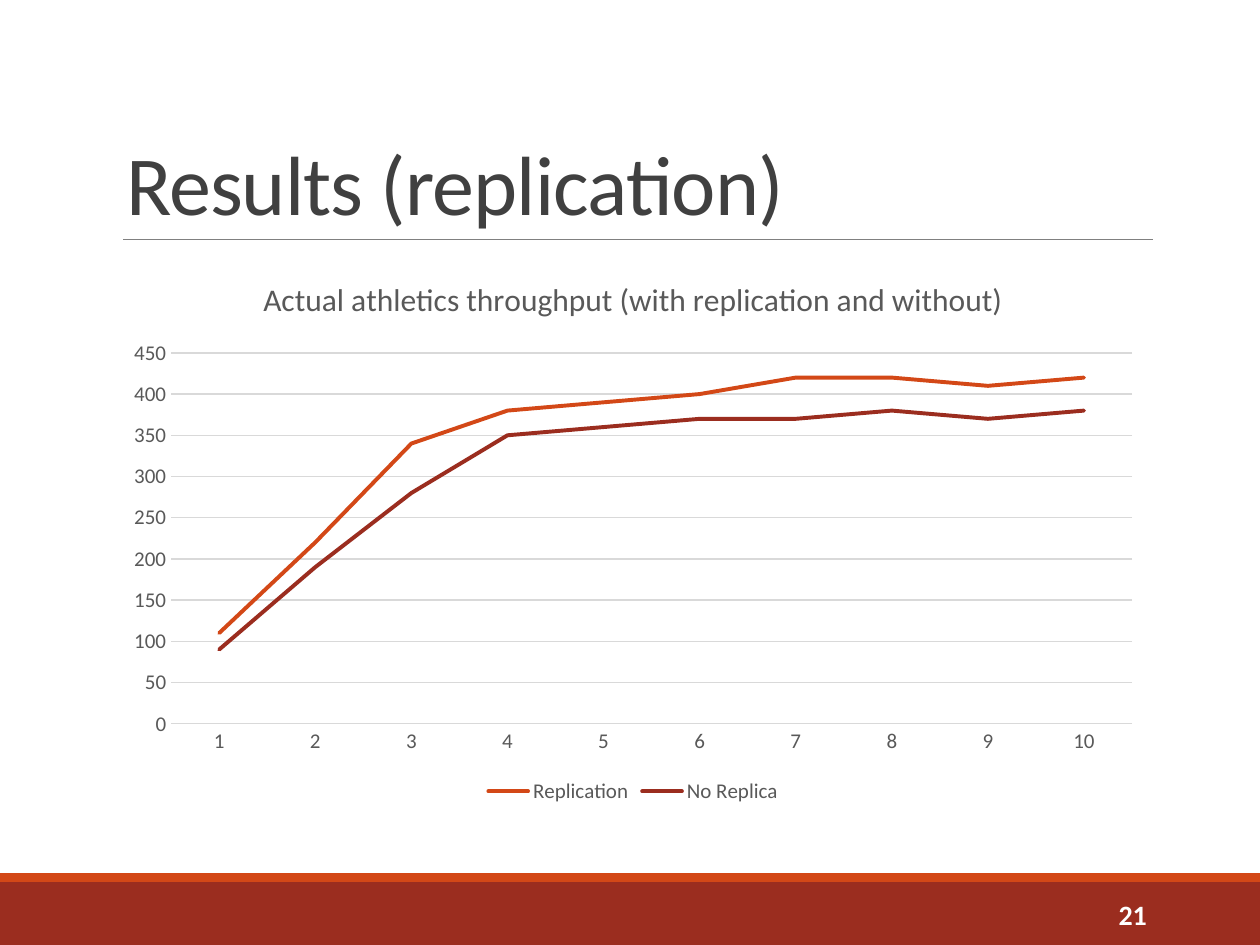
from dataclasses import dataclass

from lxml.etree import SubElement
from pptx import Presentation
from pptx.chart.data import CategoryChartData
from pptx.dml.color import RGBColor
from pptx.enum.chart import XL_CHART_TYPE, XL_LEGEND_POSITION, XL_TICK_MARK
from pptx.enum.shapes import MSO_CONNECTOR, MSO_SHAPE
from pptx.enum.text import MSO_ANCHOR, PP_ALIGN
from pptx.oxml.ns import qn
from pptx.util import Inches, Pt

# Content
TITLE = "Results (replication)"
PAGE_NUMBER = "21"
CHART_TITLE = "Actual athletics throughput (with replication and without)"
CATEGORIES = [str(n) for n in range(1, 11)]
THROUGHPUT = {
    "Replication": (110, 220, 340, 380, 390, 400, 420, 420, 410, 420),
    "No Replica": (90, 190, 280, 350, 360, 370, 370, 380, 370, 380),
}


@dataclass(frozen=True)
class Theme:
    font: str = "Calibri"
    heading: str = "404040"
    chart_text: str = "595959"
    grid: str = "D9D9D9"
    rule: str = "808080"
    orange: str = "D34817"
    red: str = "9B2D1F"
    white: str = "FFFFFF"
    title_size: float = 48
    chart_title_size: float = 18
    label_size: float = 12
    page_size: float = 16


THEME = Theme()

# Layout, in inches
SLIDE_W, SLIDE_H = 10, 7.5
LEFT, CONTENT_W = 0.9, 8.25
FOOTER_H, STRIPE_H = 0.5, 0.07
FOOTER_TOP = SLIDE_H - FOOTER_H
RULE_LEFT, RULE_RIGHT, RULE_Y = 0.98, 9.15, 1.9


def box(*lengths):
    return [Inches(length) for length in lengths]


def style_font(font, size, color, bold=False):
    font.name = THEME.font
    font.size = Pt(size)
    font.bold = bold
    font.color.rgb = RGBColor.from_string(color)


def style_line(line, color, width):
    line.color.rgb = RGBColor.from_string(color)
    line.width = Pt(width)


def add_band(slide, top, height, color):
    band = slide.shapes.add_shape(MSO_SHAPE.RECTANGLE, *box(0, top, SLIDE_W, height))
    band.shadow.inherit = False
    band.fill.solid()
    band.fill.fore_color.rgb = RGBColor.from_string(color)
    band.line.fill.background()


def add_title(slide):
    heading = slide.shapes.title
    heading.left, heading.top, heading.width, heading.height = box(
        LEFT, 0.31, CONTENT_W, RULE_Y - 0.31)
    heading.text_frame.text = TITLE
    heading.text_frame.vertical_anchor = MSO_ANCHOR.BOTTOM
    paragraph = heading.text_frame.paragraphs[0]
    paragraph.alignment = PP_ALIGN.LEFT
    paragraph.line_spacing = 0.85
    run = paragraph.runs[0]
    style_font(run.font, THEME.title_size, THEME.heading)
    run.font._element.set("spc", "-50")


def add_rule(slide):
    rule = slide.shapes.add_connector(
        MSO_CONNECTOR.STRAIGHT, *box(RULE_LEFT, RULE_Y, RULE_RIGHT, RULE_Y))
    style_line(rule.line, THEME.rule, 0.5)
    SubElement(rule._element.spPr, qn("a:effectLst"))


def add_throughput_chart(slide):
    throughput = CategoryChartData()
    throughput.categories = CATEGORIES
    for name, values in THROUGHPUT.items():
        throughput.add_series(name, values)
    chart = slide.shapes.add_chart(
        XL_CHART_TYPE.LINE, *box(LEFT, 2.02, CONTENT_W, 4.4), throughput).chart
    style_font(chart.font, THEME.label_size, THEME.chart_text)

    # Chart title and legend
    chart.has_title = True
    chart.chart_title.text_frame.text = CHART_TITLE
    chart_title_run = chart.chart_title.text_frame.paragraphs[0].runs[0]
    style_font(chart_title_run.font, THEME.chart_title_size, THEME.chart_text)
    chart.chart_title.include_in_layout = False
    chart.has_legend = True
    chart.legend.position = XL_LEGEND_POSITION.BOTTOM
    chart.legend.include_in_layout = False
    style_font(chart.legend.font, THEME.label_size, THEME.chart_text)

    # Axes
    for axis in (chart.category_axis, chart.value_axis):
        axis.major_tick_mark = axis.minor_tick_mark = XL_TICK_MARK.NONE
        style_font(axis.tick_labels.font, THEME.label_size, THEME.chart_text)
    style_line(chart.category_axis.format.line, THEME.grid, 0.75)
    chart.value_axis.format.line.fill.background()
    chart.value_axis.minimum_scale = 0
    chart.value_axis.maximum_scale = 450
    chart.value_axis.major_unit = 50
    style_line(chart.value_axis.major_gridlines.format.line, THEME.grid, 0.75)

    # Series
    plot = chart.plots[0]
    plot.vary_by_categories = False
    for series, color in zip(plot.series, (THEME.orange, THEME.red)):
        series.smooth = False
        style_line(series.format.line, color, 2.25)
        series.format.line._ln.set("cap", "rnd")


def add_page_number(slide):
    page = slide.shapes.add_textbox(*box(8.12, 7.06, 1.08, 0.4)).text_frame
    page.word_wrap = True
    page.vertical_anchor = MSO_ANCHOR.MIDDLE
    page.text = PAGE_NUMBER
    page.paragraphs[0].alignment = PP_ALIGN.RIGHT
    style_font(page.paragraphs[0].runs[0].font, THEME.page_size, THEME.white, bold=True)


def main():
    deck = Presentation()
    deck.slide_width, deck.slide_height = box(SLIDE_W, SLIDE_H)
    slide = deck.slides.add_slide(deck.slide_layouts.get_by_name("Title Only"))
    add_band(slide, FOOTER_TOP, FOOTER_H, THEME.red)
    add_band(slide, FOOTER_TOP - STRIPE_H, STRIPE_H, THEME.orange)
    add_rule(slide)
    add_title(slide)
    add_throughput_chart(slide)
    add_page_number(slide)
    deck.save("out.pptx")


if __name__ == "__main__":
    main()
